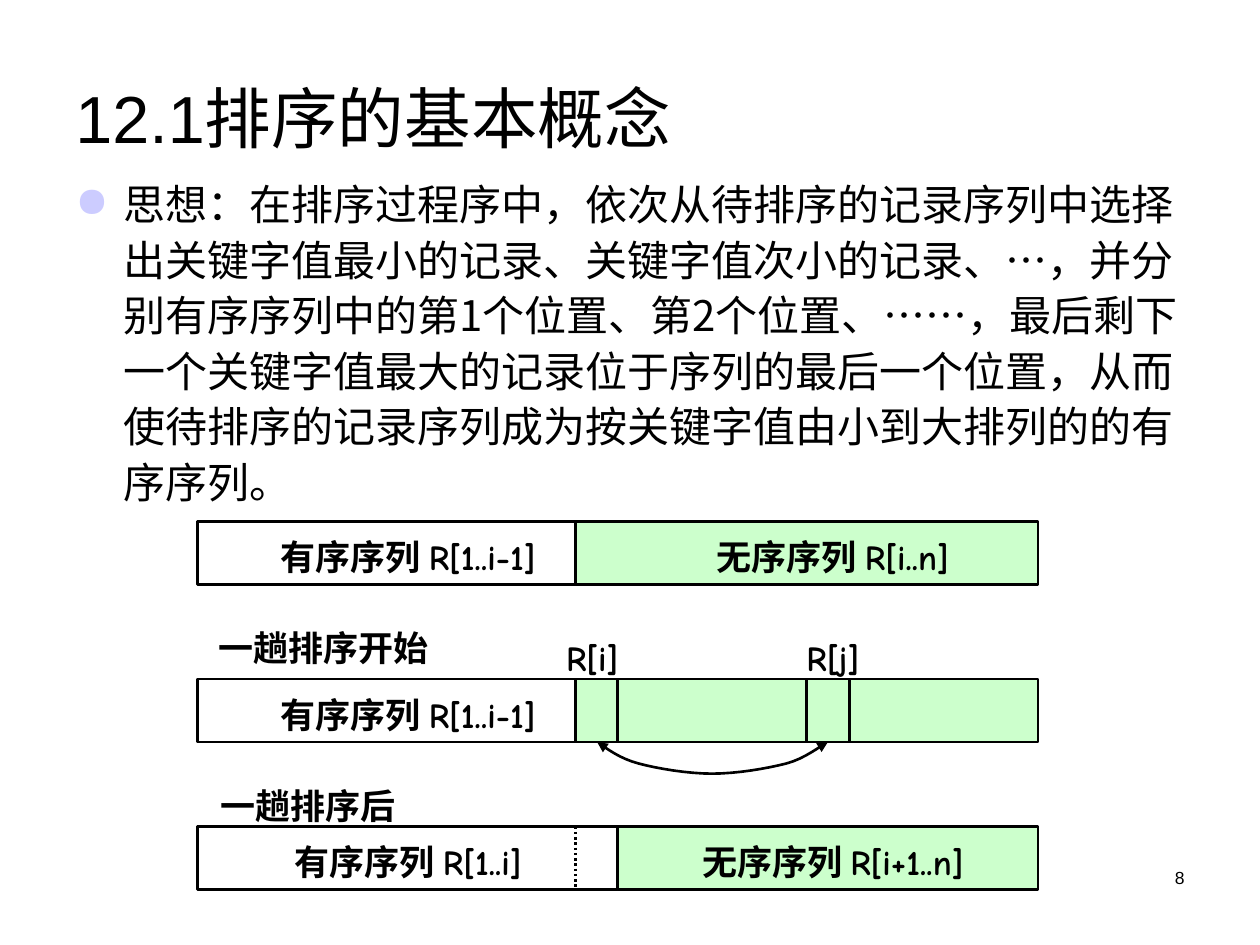
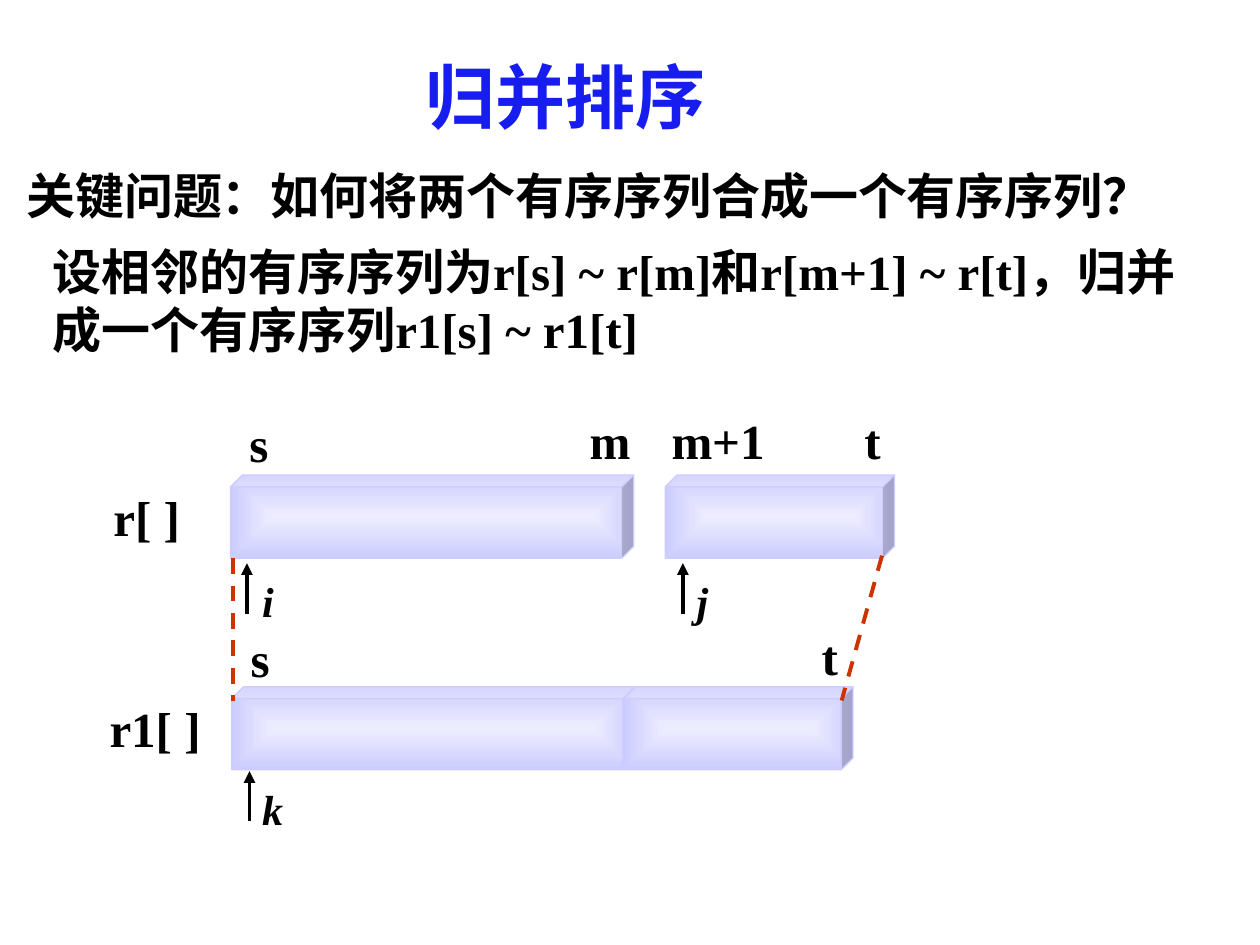
from lxml import etree
from pptx import Presentation
from pptx.dml.color import RGBColor
from pptx.enum import dml, shapes, text
from pptx.oxml import ns
from pptx.util import Inches, Pt

BLACK = RGBColor(0x00, 0x00, 0x00)
BLUE = RGBColor(0x17, 0x1C, 0xEF)
RED = RGBColor(0xCC, 0x33, 0x00)
GREEN = RGBColor(0xCC, 0xFF, 0xCC)
LILAC = RGBColor(0xCC, 0xCC, 0xFF)
PALE_LILAC = RGBColor(0xED, 0xED, 0xFF)
HAN, SANS, COMIC, SERIF = "Noto Sans CJK SC", "Arial", "Comic Neue", "Times New Roman"
LEFT, CENTER, RIGHT = text.PP_ALIGN.LEFT, text.PP_ALIGN.CENTER, text.PP_ALIGN.RIGHT


def write(page, at, spans, face, size, bold=True, italic=False, color=BLACK,
          align=LEFT, inset=True, leading=1.32, bullet=None):
    """Add a one-paragraph text box; leading is a multiple of the size, None is automatic."""
    box = page.shapes.add_textbox(*map(Inches, at))
    frame = box.text_frame
    frame.word_wrap = True
    if not inset:
        frame.margin_left = frame.margin_right = frame.margin_top = frame.margin_bottom = 0
    para = frame.paragraphs[0]
    para.alignment = align
    if leading:
        para.line_spacing = Pt(round(size * leading, 1))
    if bullet:
        props = para._p.get_or_add_pPr()
        props.set("marL", str(Inches(0.38)))
        props.set("indent", str(-Inches(0.38)))
        mark_color = etree.SubElement(props, ns.qn("a:buClr"))
        etree.SubElement(mark_color, ns.qn("a:srgbClr"), val=str(LILAC))
        etree.SubElement(props, ns.qn("a:buChar"), char=bullet)
    for words in [spans] if isinstance(spans, str) else spans:
        para.add_run().text = words
    font = para.font
    font.name, font.size, font.bold, font.italic = face, Pt(size), bold, italic
    font.color.rgb = color
    latin = font._rPr.find(ns.qn("a:latin"))
    latin.addnext(etree.Element(ns.qn("a:ea"), typeface=HAN))
    return box


def stroke(shape, color, width, dash=None, ends=()):
    """Style an outline, put triangles at the named ends and drop the shadow."""
    shape.line.color.rgb = color
    shape.line.width = Pt(width)
    if dash:
        shape.line.dash_style = dash
    properties = shape._element.spPr
    for end in ends:
        etree.SubElement(properties.find(ns.qn("a:ln")), ns.qn(f"a:{end}"), type="triangle")
    etree.SubElement(properties, ns.qn("a:effectLst"))


deck = Presentation()
deck.slide_width, deck.slide_height = Inches(10), Inches(7.5)
blank = deck.slide_layouts[6]

# Selection sort: idea and one pass
page = deck.slides.add_slide(blank)
title = write(page, (0.5, 0.3, 9, 1.25), "12.1排序的基本概念", SANS, 38, bold=False, leading=None)
title.text_frame.vertical_anchor = text.MSO_ANCHOR.MIDDLE
write(page, (0.5, 1.33, 9, 2.12),
      "思想：在排序过程序中，依次从待排序的记录序列中选择出关键字值最小的记录、"
      "关键字值次小的记录、…，并分别有序序列中的第1个位置、第2个位置、……，"
      "最后剩下一个关键字值最大的记录位于序列的最后一个位置，"
      "从而使待排序的记录序列成为按关键字值由小到大排列的的有序序列。",
      HAN, 24, bold=False, bullet="●")
write(page, (7.17, 6.83, 2.33, 0.5), "8", SANS, 10, bold=False, align=RIGHT, leading=None)

STRIP_LEFT, STRIP_RIGHT, STRIP_HEIGHT = 1.57, 8.24, 0.5
STRIP_I, STRIP_NEXT = 4.57, 4.9
strips = [  # top, start of the unsorted part, labels, inner lines
    (4.14, STRIP_I, "有序序列 R[1..i-1]", "无序序列 R[i..n]", []),
    (5.39, STRIP_I, "有序序列 R[1..i-1]", None, [STRIP_NEXT, 6.4, 6.74]),
    (6.56, STRIP_NEXT, "有序序列 R[1..i]", "无序序列 R[i+1..n]", [STRIP_I]),
]
for top, split, ordered, unordered, dividers in strips:
    for left, right, fill in [(split, STRIP_RIGHT, GREEN), (STRIP_LEFT, split, None)]:
        part = page.shapes.add_shape(shapes.MSO_SHAPE.RECTANGLE, Inches(left), Inches(top),
                                     Inches(right - left), Inches(STRIP_HEIGHT))
        if fill:
            part.fill.solid()
            part.fill.fore_color.rgb = fill
        else:
            part.fill.background()
        stroke(part, BLACK, 1.5)
    for x in dividers:
        divider = page.shapes.add_connector(shapes.MSO_CONNECTOR.STRAIGHT, Inches(x), Inches(top),
                                            Inches(x), Inches(top + STRIP_HEIGHT))
        stroke(divider, BLACK, 1.5, dml.MSO_LINE.ROUND_DOT if x < split + 0.01 else None)
    write(page, (1.74, top + 0.08, 3, 0.33), ordered, COMIC, 20, align=CENTER, inset=False)
    if unordered:
        write(page, (5.07, top + 0.08, 3.08, 0.33), unordered, COMIC, 20,
              align=CENTER, inset=False)

for left, top, width, caption in [
    (6.15, 4.97, 0.92, "R[j]"), (4.24, 4.97, 0.92, "R[i]"),
    (1.57, 6.14, 1.75, "一趟排序后"), (1.57, 4.89, 2, "一趟排序开始"),
]:
    write(page, (left, top, width, 0.43), caption, COMIC, 20, align=CENTER)

# Swap arrow: four Bezier pieces, each with two control points and an end
swap_start = (4.74, 5.89)
swap_pieces = [
    [(4.83, 5.95), (4.92, 6.02), (5.07, 6.06)],
    [(5.22, 6.1), (5.46, 6.14), (5.65, 6.14)],
    [(5.85, 6.14), (6.08, 6.1), (6.24, 6.06)],
    [(6.39, 6.02), (6.51, 5.92), (6.57, 5.89)],
]
curve = page.shapes.build_freeform(*map(Inches, swap_start))
start, points, STEPS = swap_start, [], 8
for first, second, end in swap_pieces:
    for step in range(1, STEPS + 1):
        t = step / STEPS
        points.append([
            Inches((1 - t) ** 3 * a + 3 * t * (1 - t) ** 2 * b + 3 * t ** 2 * (1 - t) * c + t ** 3 * d)
            for a, b, c, d in zip(start, first, second, end)])
    start = end
curve.add_line_segments(points, close=False)
swap = curve.convert_to_shape()
swap.fill.background()
stroke(swap, BLACK, 1.5, ends=("headEnd", "tailEnd"))

# Merge sort: joining two sorted runs
page = deck.slides.add_slide(blank)
question = write(page, (0.11, 1.22, 9.61, 0.57),
                 ["关键问题：", "如何将两个有序序列合成一个有序序列？"], HAN, 28)
question.text_frame.paragraphs[0].runs[1].font.name = SANS
heading = write(page, (3.28, 0.31, 3.17, 0.77), "归并排序", HAN, 40, color=BLUE)
run_props = heading.text_frame.paragraphs[0].runs[0]._r.get_or_add_rPr()
effects = etree.SubElement(run_props, ns.qn("a:effectLst"))
shadow = etree.SubElement(effects, ns.qn("a:outerShdw"), dist="38100", dir="2700000")
etree.SubElement(shadow, ns.qn("a:srgbClr"), val="808080")
write(page, (0.32, 1.88, 9.18, 1.03),
      "设相邻的有序序列为r[s] ~ r[m]和r[m+1] ~ r[t]，归并成一个有序序列r1[s] ~ r1[t]",
      SERIF, 28, leading=1.18)

for left, top, width in [(1.83, 3.77, 3.2), (5.28, 3.77, 1.82), (1.84, 5.45, 3.2), (4.95, 5.45, 1.82)]:
    bar = page.shapes.add_shape(shapes.MSO_SHAPE.CUBE, Inches(left), Inches(top),
                                Inches(width), Inches(0.66))
    bar.adjustments[0] = 0.143
    bar.fill.gradient()
    for stop, color, position in zip(bar.fill.gradient_stops, (PALE_LILAC, LILAC), (0, 1)):
        stop.color.rgb = color
        stop.position = position
    gradient = bar._element.spPr.find(ns.qn("a:gradFill"))
    gradient.remove(gradient.find(ns.qn("a:lin")))
    center = etree.SubElement(gradient, ns.qn("a:path"), path="rect")
    etree.SubElement(center, ns.qn("a:fillToRect"), l="50000", t="50000", r="50000", b="50000")
    stroke(bar, LILAC, 0.75)

for left, top, width, label in [
    (1.98, 3.28, 0.2, "s"), (4.68, 3.26, 0.39, "m"), (5.33, 3.26, 0.84, "m+1"),
    (6.86, 3.26, 0.25, "t"), (0.9, 3.87, 0.7, "r[ ]"),
    (1.99, 4.99, 0.2, "s"), (6.52, 4.97, 0.25, "t"), (0.87, 5.54, 0.8, "r1[ ]"),
]:
    write(page, (left, top, width, 0.47), label, SERIF, 28, inset=False, leading=None)

for x1, y1, x2, y2 in [(1.85, 4.43, 1.85, 5.56), (7, 4.41, 6.68, 5.56)]:
    guide = page.shapes.add_connector(shapes.MSO_CONNECTOR.STRAIGHT, *map(Inches, (x1, y1, x2, y2)))
    stroke(guide, RED, 2.25, dml.MSO_LINE.DASH)

for x, tip, label_left, label_top, index in [
    (1.96, 4.47, 2.08, 4.57, "i"), (5.42, 4.47, 5.53, 4.57, "j"), (1.98, 6.12, 2.08, 6.22, "k"),
]:
    pointer = page.shapes.add_connector(shapes.MSO_CONNECTOR.STRAIGHT, Inches(x), Inches(tip + 0.4),
                                        Inches(x), Inches(tip))
    stroke(pointer, BLACK, 2.25, ends=("tailEnd",))
    write(page, (label_left, label_top, 0.2, 0.4), index, SERIF, 24,
          italic=True, inset=False, leading=None)

deck.save("out.pptx")
